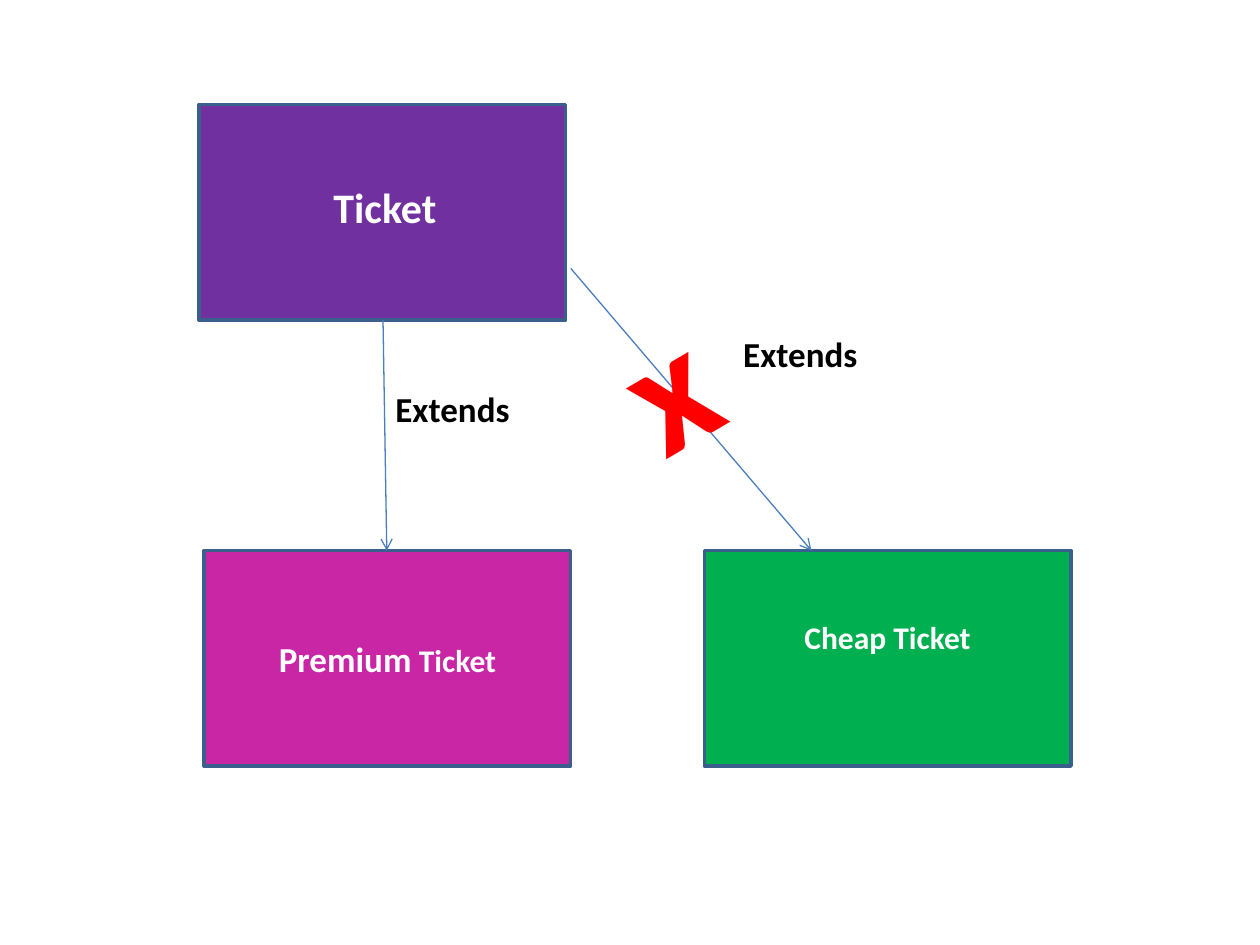
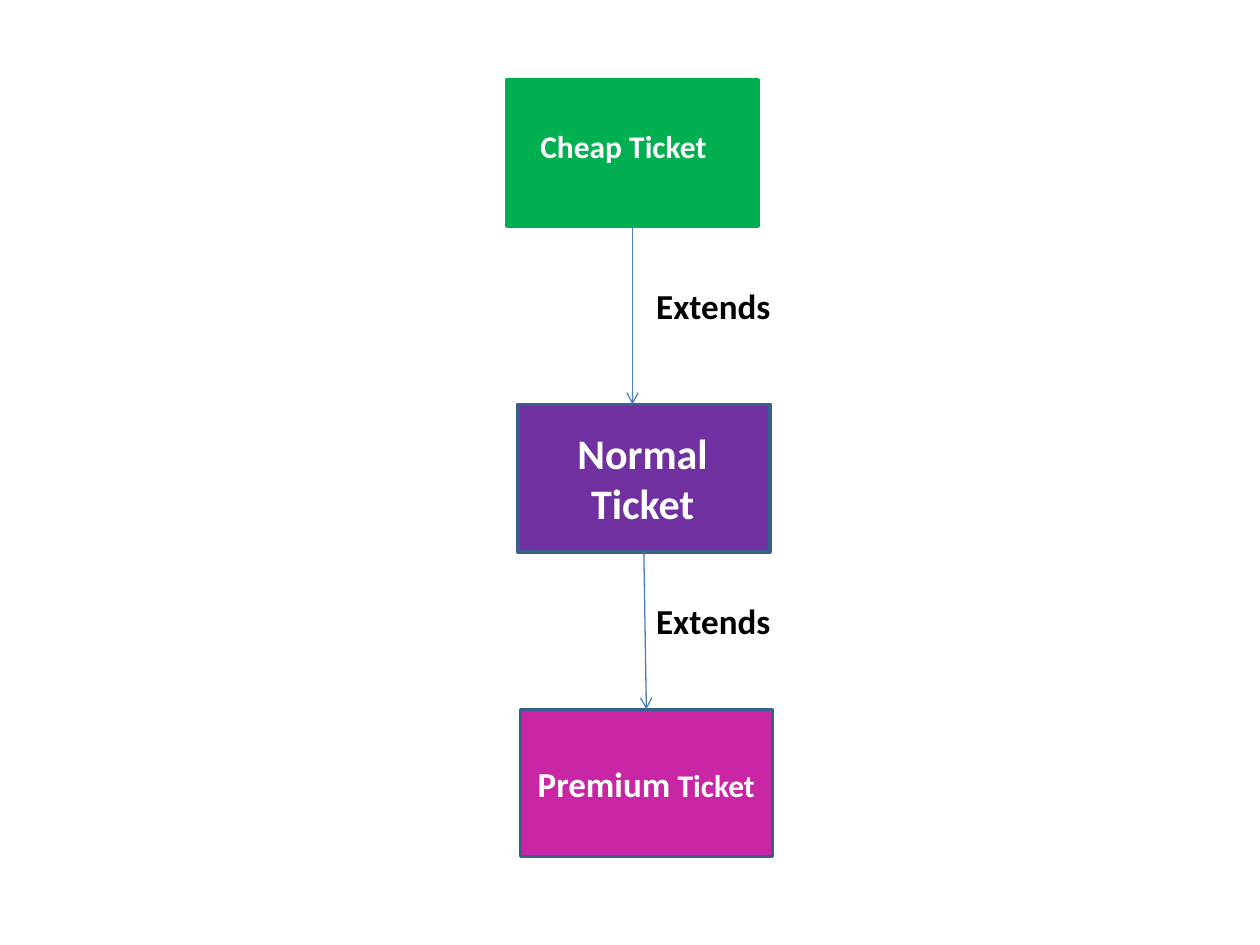
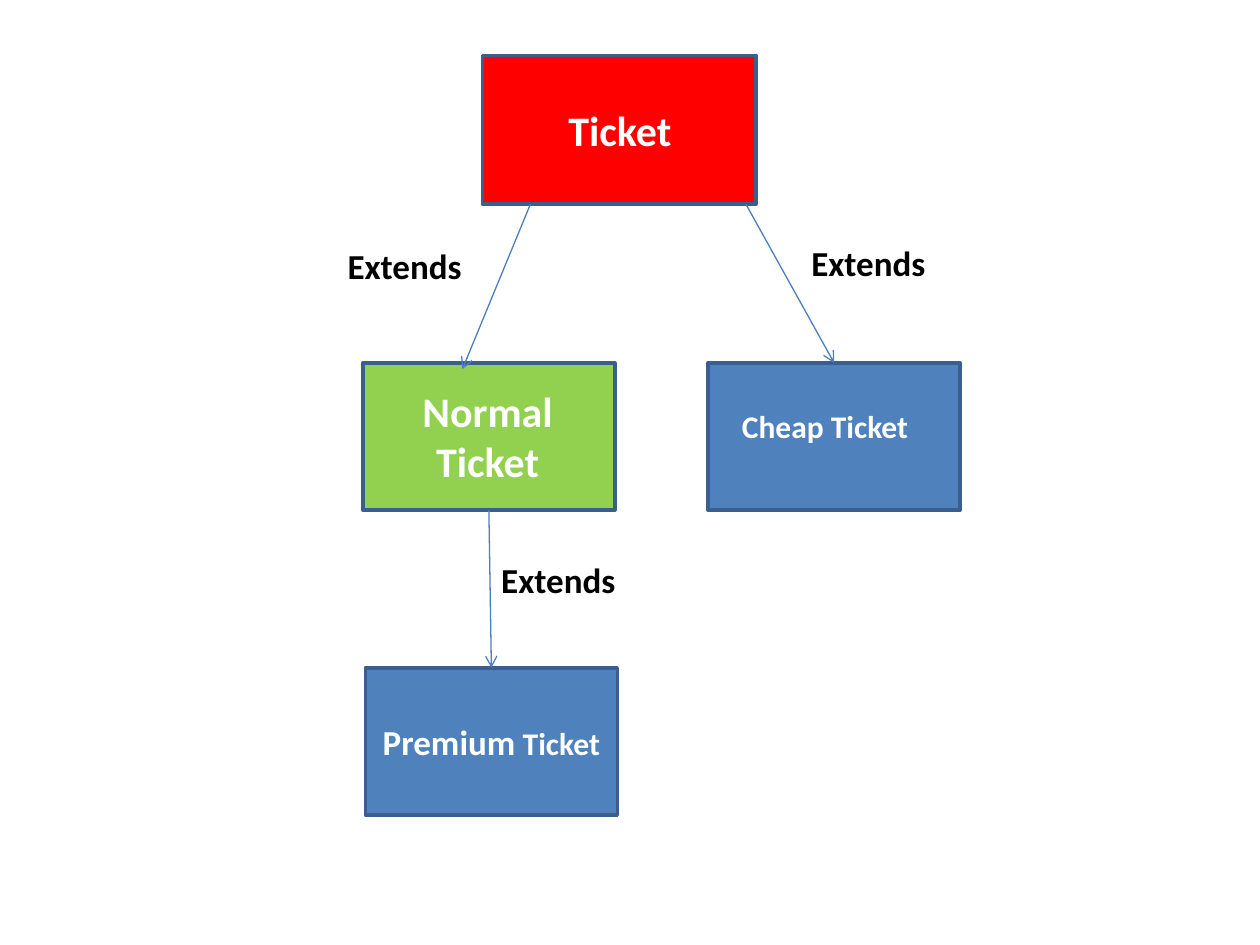
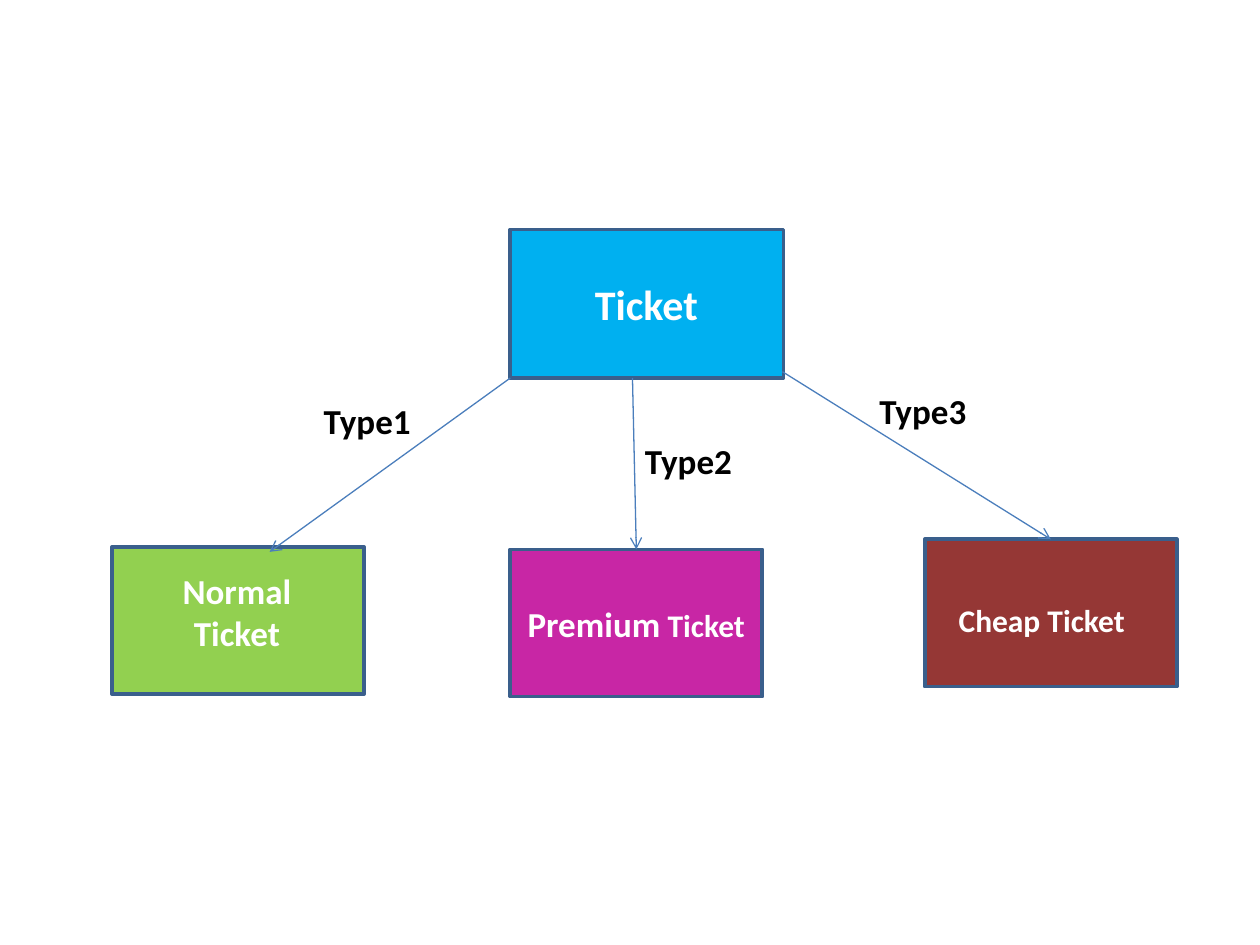
"""Build four diagrams of ticket classes and the ways they extend one another."""
from dataclasses import dataclass

from lxml import etree
from pptx import Presentation
from pptx.dml.color import RGBColor
from pptx.enum import shapes, text
from pptx.oxml.ns import qn
from pptx.util import Inches, Pt


@dataclass(frozen=True)
class Theme:
    font: str = "Calibri"
    outline: str = "3A5F8C"
    arrow: str = "4B7EBC"
    white: str = "FFFFFF"
    black: str = "000000"
    red: str = "FF0000"
    purple: str = "7030A0"
    magenta: str = "C826A5"
    green: str = "00B050"
    lime: str = "92D050"
    blue: str = "4F81BD"
    sky: str = "00B0F0"
    brown: str = "953735"
    outline_width: float = 2
    arrow_width: float = 0.75
    cross_size: int = 96
    root_size: int = 24
    label_size: int = 20
    small_size: int = 18


theme = Theme()
left, center = text.PP_ALIGN.LEFT, text.PP_ALIGN.CENTER
label_styles = {
    "root": (theme.root_size, theme.white, center),
    "class": (theme.label_size, theme.white, center),
    "cheap": (theme.small_size, theme.white, left),
    "cheap centered": (theme.small_size, theme.white, center),
    "relation": (theme.label_size, theme.black, left),
    "cross": (theme.cross_size, theme.red, left),
}
premium_runs = [
    ("Premium", theme.label_size, True),
    (" ", theme.small_size, False),
    ("Ticket", theme.small_size, True),
]
large, medium, small = (2.91, 1.71), (2.17, 1.18), (2, 1.17)

diagrams = [
    {
        "boxes": [
            (1.58, 0.83, large, theme.purple),
            (1.62, 4.37, large, theme.magenta, premium_runs),
            (5.59, 4.37, large, theme.green),
        ],
        "arrows": [(3.04, 2.54, 3.07, 4.37), (4.53, 2.13, 6.44, 4.37)],
        "labels": [
            ("Ticket", "root", 1.9, 1.39, 2.31, 0.74),
            ("Extends", "relation", 3.04, 3.03, 1.94, 0.44),
            ("Cheap Ticket", "cheap centered", 5.83, 4.86, 2.43, 0.4),
            ("Extends", "relation", 5.8, 2.59, 1.82, 0.44),
            ("x", "cross", 4.87, 2.17, 0.89, 1.72, 329.6),
        ],
    },
    {
        "boxes": [
            (4.11, 3.21, small, theme.purple),
            (4.13, 5.63, small, theme.magenta, premium_runs),
            (4.02, 0.63, small, theme.green, [], theme.green),
        ],
        "arrows": [(5.11, 4.38, 5.13, 5.63), (5.02, 1.8, 5.02, 3.21)],
        "labels": [
            ("Normal Ticket", "root", 4.31, 3.34, 1.58, 0.91),
            ("Extends", "relation", 5.11, 4.71, 1.33, 0.44),
            ("Cheap Ticket", "cheap", 4.19, 0.96, 1.67, 0.4),
            ("Extends", "relation", 5.11, 2.21, 1.25, 0.44),
        ],
    },
    {
        "boxes": [
            (3.83, 0.44, medium, theme.red),
            (2.88, 2.88, small, theme.lime),
            (2.9, 5.3, small, theme.blue, premium_runs),
            (5.62, 2.88, small, theme.blue),
        ],
        "arrows": [
            (3.88, 4.05, 3.9, 5.3),
            (5.92, 1.62, 6.62, 2.88),
            (4.21, 1.62, 3.67, 2.93),
        ],
        "labels": [
            ("Ticket", "root", 4.21, 0.78, 1.42, 0.5),
            ("Normal Ticket", "root", 3.08, 3.01, 1.58, 0.91),
            ("Extends", "relation", 3.88, 4.38, 1.33, 0.44),
            ("Cheap Ticket", "cheap", 5.79, 3.18, 1.67, 0.4),
            ("Extends", "relation", 6.34, 1.87, 1.25, 0.44),
            ("Extends", "relation", 2.66, 1.89, 1.25, 0.44),
        ],
    },
    {
        "boxes": [
            (4.05, 1.82, medium, theme.sky),
            (0.89, 4.34, small, theme.lime),
            (4.05, 4.36, small, theme.magenta, premium_runs),
            (7.34, 4.28, small, theme.brown),
        ],
        "arrows": [
            (5.02, 3, 5.05, 4.36),
            (6.21, 2.95, 8.34, 4.28),
            (4.05, 3, 2.14, 4.38),
        ],
        "labels": [
            ("Ticket", "root", 4.42, 2.16, 1.42, 0.5),
            ("Normal Ticket", "class", 1.09, 4.47, 1.58, 0.77),
            ("Type2", "relation", 5.02, 3.44, 1.33, 0.44),
            ("Cheap Ticket", "cheap", 7.51, 4.72, 1.67, 0.4),
            ("Type3", "relation", 6.88, 3.04, 1.25, 0.44),
            ("Type1", "relation", 2.47, 3.12, 1.25, 0.44),
        ],
    },
]


def write_runs(shape, runs, color, alignment):
    shape.text_frame.word_wrap = True
    paragraph = shape.text_frame.paragraphs[0]
    paragraph.alignment = alignment
    for words, size, bold in runs:
        run = paragraph.add_run()
        run.text = words
        run.font.name = theme.font
        run.font.size = Pt(size)
        run.font.bold = bold
        run.font.color.rgb = RGBColor.from_string(color)


presentation = Presentation()
presentation.slide_width, presentation.slide_height = Inches(10), Inches(7.5)
blank_layout = presentation.slide_layouts.get_by_name("Blank")

for diagram in diagrams:
    slide = presentation.slides.add_slide(blank_layout)

    for x, y, size, fill, *extra in diagram["boxes"]:
        runs, outline = (extra + [[], theme.outline][len(extra):])
        box = slide.shapes.add_shape(
            shapes.MSO_SHAPE.RECTANGLE, *map(Inches, (x, y, *size)))
        box.shadow.inherit = False
        box.fill.solid()
        box.fill.fore_color.rgb = RGBColor.from_string(fill)
        box.line.color.rgb = RGBColor.from_string(outline)
        box.line.width = Pt(theme.outline_width)
        box.text_frame.vertical_anchor = text.MSO_ANCHOR.MIDDLE
        write_runs(box, runs, theme.white, center)

    for ends in diagram["arrows"]:
        arrow = slide.shapes.add_connector(
            shapes.MSO_CONNECTOR.STRAIGHT, *map(Inches, ends))
        arrow.line.color.rgb = RGBColor.from_string(theme.arrow)
        arrow.line.width = Pt(theme.arrow_width)
        properties = arrow.element.spPr
        etree.SubElement(properties.find(qn("a:ln")), qn("a:tailEnd"), type="arrow")
        etree.SubElement(properties, qn("a:effectLst"))

    for words, style, x, y, width, height, *rotation in diagram["labels"]:
        size, color, alignment = label_styles[style]
        label = slide.shapes.add_textbox(*map(Inches, (x, y, width, height)))
        label.rotation = sum(rotation)
        label.text_frame.auto_size = text.MSO_AUTO_SIZE.SHAPE_TO_FIT_TEXT
        write_runs(label, [(words, size, True)], color, alignment)

presentation.save("out.pptx")
